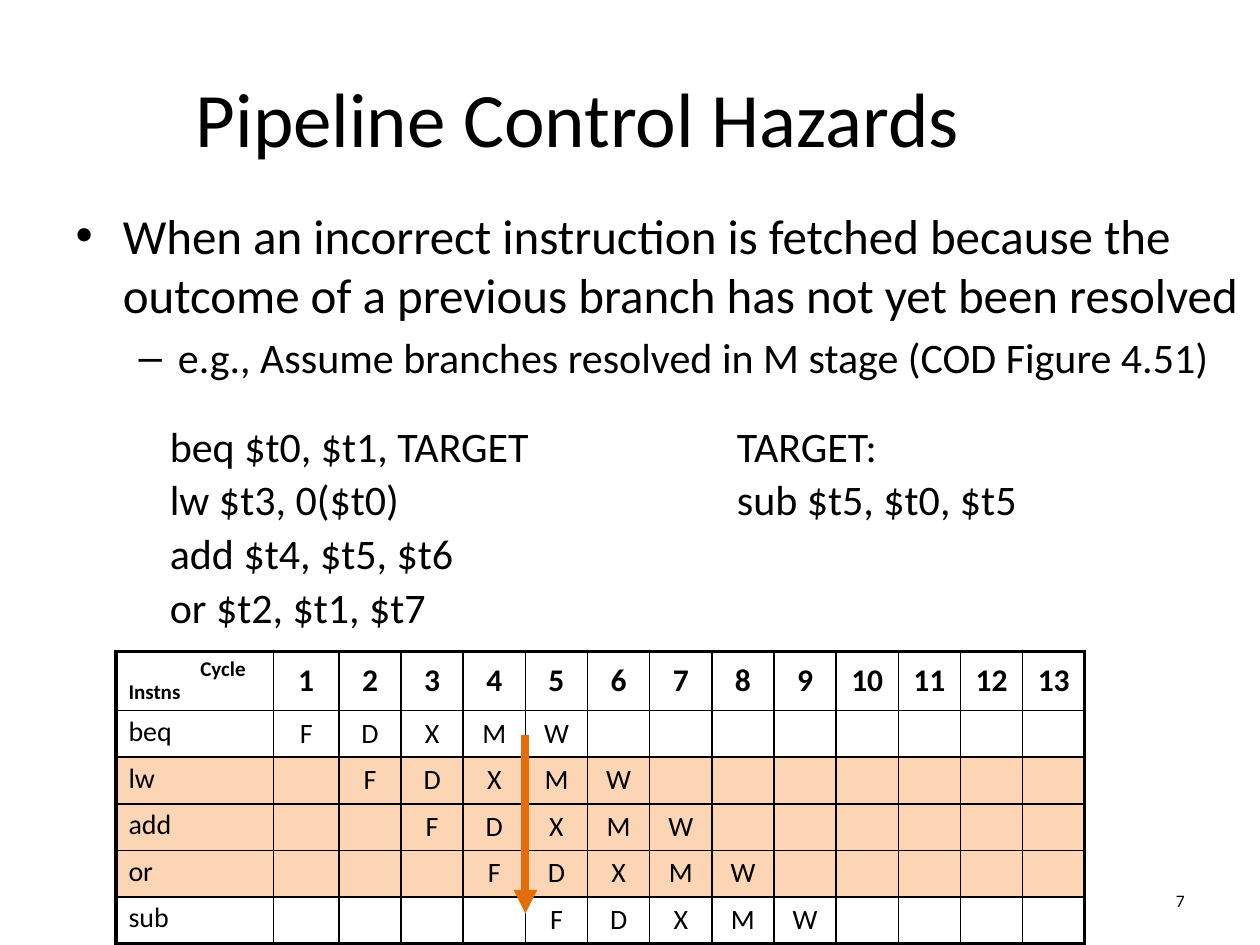
from lxml.etree import SubElement
from pptx import Presentation
from pptx.dml.color import RGBColor
from pptx.enum.shapes import MSO_CONNECTOR
from pptx.enum.text import MSO_ANCHOR, MSO_AUTO_SIZE, PP_ALIGN
from pptx.oxml.ns import qn
from pptx.util import Inches, Pt

FONT = "Calibri"
BLACK, FLUSHED, ARROW = "000000", "FCD5B5", "E46C0A"
STAGES = "FDXMW"
INSTRUCTIONS = ["beq", "lw", "add", "or", "sub"]
FLUSHED_INSTRUCTIONS = {"lw", "add", "or"}
CYCLES = 13
THIN, THICK = 1, 2.25


def color(hex_string):
    return RGBColor.from_string(hex_string)


def style(paragraph, size, align=PP_ALIGN.LEFT, bold=False, spacing=None):
    paragraph.alignment = align
    paragraph.line_spacing = spacing
    font = paragraph.font
    font.name, font.size, font.bold = FONT, Pt(size), bold
    font.color.rgb = color(BLACK)


def place(shape, left, top, width, height):
    shape.left, shape.top = Inches(left), Inches(top)
    shape.width, shape.height = Inches(width), Inches(height)


def fill_placeholder(shape, box, lines, align):
    """Each line is (text, level, size)."""
    place(shape, *box)
    frame = shape.text_frame
    frame.auto_size = MSO_AUTO_SIZE.NONE
    frame.text = "\n".join(text for text, _, _ in lines)
    for paragraph, (_, level, size) in zip(frame.paragraphs, lines):
        paragraph.level = level
        style(paragraph, size, align)


def add_text(slide, box, lines, size, align=PP_ALIGN.LEFT, spacing=None,
             anchor=MSO_ANCHOR.TOP):
    frame = slide.shapes.add_textbox(*map(Inches, box)).text_frame
    frame.word_wrap = True
    frame.vertical_anchor = anchor
    frame.text = "\n".join(lines)
    for index, paragraph in enumerate(frame.paragraphs):
        paragraph._p.get_or_add_pPr().set("marL", str(Inches(0.5)))
        style(paragraph, size, align, spacing=spacing)
        if index:
            paragraph.space_before = Pt(0.2 * size)


def set_borders(cell, left, right, top, bottom):
    properties = cell._tc.get_or_add_tcPr()
    for side, width in zip("LRTB", (left, right, top, bottom)):
        line = SubElement(properties, qn(f"a:ln{side}"), w=str(Pt(width)))
        solid = SubElement(line, qn("a:solidFill"))
        SubElement(solid, qn("a:srgbClr"), val=BLACK)


def cell_text(row, column):
    if row == 0:
        return str(column) if column else "Cycle\vInstns"
    if column == 0:
        return INSTRUCTIONS[row - 1]
    stage = column - row
    return STAGES[stage] if 0 <= stage < len(STAGES) else ""


def format_cell(cell, row, column):
    set_borders(cell,
                THICK if column == 0 else THIN,
                THICK if column == CYCLES else THIN,
                THICK if row == 0 else THIN,
                THICK if row == len(INSTRUCTIONS) else THIN)
    if row and INSTRUCTIONS[row - 1] in FLUSHED_INSTRUCTIONS:
        cell.fill.solid()
        cell.fill.fore_color.rgb = color(FLUSHED)
    else:
        cell.fill.background()

    cell.text = cell_text(row, column)
    instruction_name = row > 0 and column == 0
    cell.vertical_anchor = MSO_ANCHOR.TOP if instruction_name else MSO_ANCHOR.MIDDLE
    if not cell.text:
        cell.margin_top = cell.margin_bottom = 0
    paragraph = cell.text_frame.paragraphs[0]
    corner = row == column == 0
    if corner:
        paragraph._p.get_or_add_pPr().set("indent", str(Inches(0.57)))
    size = 16 if row else 12 if corner else 18
    align = PP_ALIGN.CENTER if column else PP_ALIGN.LEFT
    style(paragraph, size, align, bold=row == 0, spacing=0.9)


def add_pipeline_table(slide):
    width, name_width, first_width = 7.69, 1.25, 0.52
    cycle_width = (width - name_width - first_width) / (CYCLES - 1)
    widths = [name_width, first_width] + [cycle_width] * (CYCLES - 1)
    heights = [0.47] + [0.37] * len(INSTRUCTIONS)
    table = slide.shapes.add_table(
        len(heights), len(widths), Inches(0.92), Inches(5.17),
        Inches(width), Inches(sum(heights))).table
    table.first_row = table.horz_banding = False
    for column, column_width in enumerate(widths):
        table.columns[column].width = Inches(column_width)
    for row, height in enumerate(heights):
        table.rows[row].height = Inches(height)
        for column in range(len(widths)):
            format_cell(table.cell(row, column), row, column)


def add_arrow(slide, x, top, bottom):
    arrow = slide.shapes.add_connector(
        MSO_CONNECTOR.STRAIGHT, Inches(x), Inches(top), Inches(x), Inches(bottom))
    arrow.line.color.rgb = color(ARROW)
    arrow.line.width = Pt(4.5)
    SubElement(arrow.line._get_or_add_ln(), qn("a:tailEnd"), type="triangle")
    SubElement(arrow._element.spPr, qn("a:effectLst"))


def main():
    deck = Presentation()
    deck.slide_width, deck.slide_height = Inches(10), Inches(7.5)
    slide = deck.slides.add_slide(deck.slide_layouts[1])

    # Title and definition
    fill_placeholder(slide.shapes.title, (0.5, 0.3, 8.17, 1.25),
                     [("Pipeline Control Hazards", 0, 44)], PP_ALIGN.CENTER)
    fill_placeholder(slide.placeholders[1], (0.5, 1.58, 9.5, 2), [
        ("When an incorrect instruction is fetched because the outcome of "
         "a previous branch has not yet been resolved", 0, 28),
        ("e.g., Assume branches resolved in M stage (COD Figure 4.51)", 1, 24),
    ], PP_ALIGN.LEFT)

    # Slide number
    add_text(slide, (8.33, 6.95, 1.17, 0.4), ["7"], 10, PP_ALIGN.RIGHT,
             anchor=MSO_ANCHOR.MIDDLE)

    # Code before and at the branch target
    add_text(slide, (0.75, 3.33, 7.34, 1.83),
             ["beq $t0, $t1, TARGET", "lw $t3, 0($t0)",
              "add $t4, $t5, $t6", "or $t2, $t1, $t7"], 24, spacing=0.9)
    add_pipeline_table(slide)
    add_text(slide, (5.25, 3.33, 4.25, 1.83),
             ["TARGET:", "sub $t5, $t0, $t5"], 24, spacing=0.9)

    # Branch resolved: the next fetch comes from the target
    add_arrow(slide, 4.17, 5.83, 7.25)

    deck.save("out.pptx")


if __name__ == "__main__":
    main()
